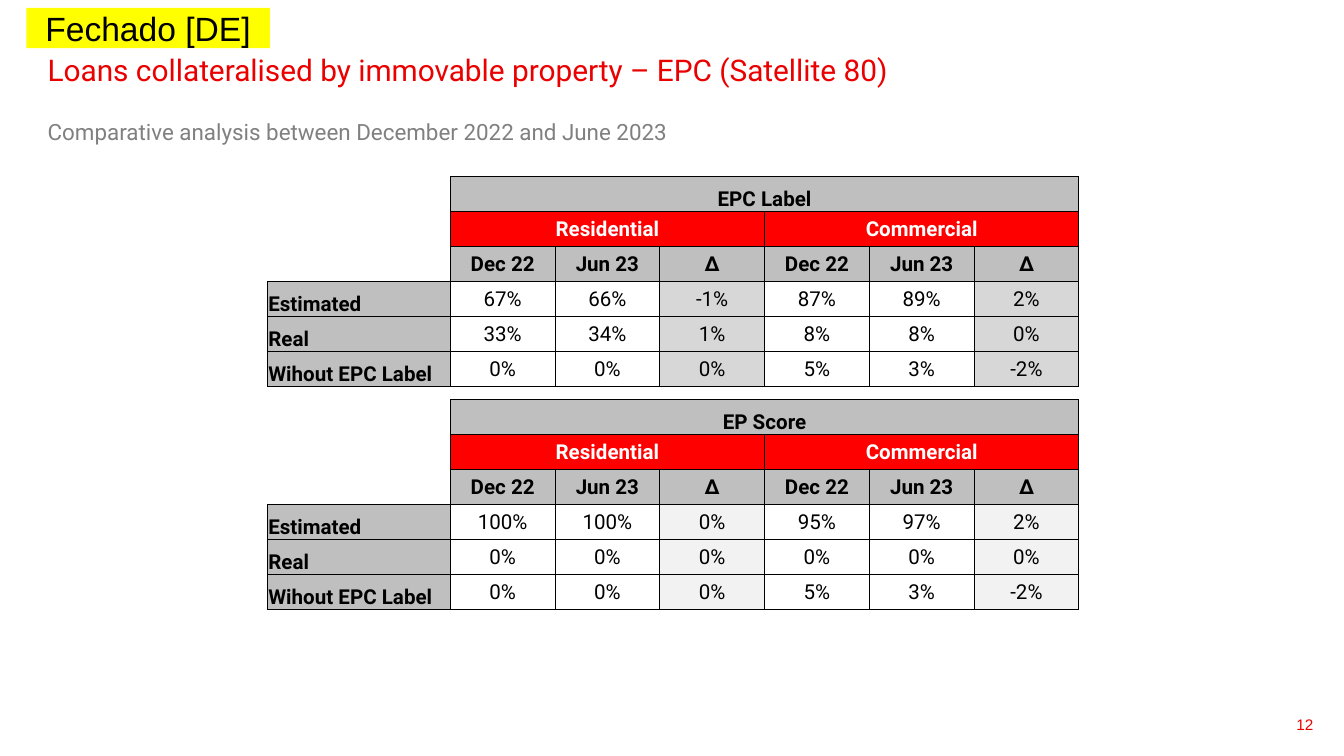
from lxml import etree
from pptx import Presentation
from pptx.dml.color import RGBColor
from pptx.enum.shapes import MSO_SHAPE
from pptx.enum.text import MSO_ANCHOR, MSO_AUTO_SIZE, PP_ALIGN
from pptx.oxml.ns import qn
from pptx.util import Cm, Pt

LEFT, CENTER, RIGHT = PP_ALIGN.LEFT, PP_ALIGN.CENTER, PP_ALIGN.RIGHT
TOP, MIDDLE, BOTTOM = MSO_ANCHOR.TOP, MSO_ANCHOR.MIDDLE, MSO_ANCHOR.BOTTOM
NO_AUTOFIT = MSO_AUTO_SIZE.NONE
RECTANGLE = MSO_SHAPE.RECTANGLE

BLACK = RGBColor(0x00, 0x00, 0x00)
WHITE = RGBColor(0xFF, 0xFF, 0xFF)
RED = RGBColor(0xFF, 0x00, 0x00)
TITLE_RED = RGBColor(0xEB, 0x00, 0x00)
YELLOW = RGBColor(0xFF, 0xFF, 0x00)
TEXT_GREY = RGBColor(0x80, 0x80, 0x80)
HEADER_GREY = RGBColor(0xBF, 0xBF, 0xBF)
LABEL_DELTA = RGBColor(0xD7, 0xD7, 0xD7)
SCORE_DELTA = RGBColor(0xF2, 0xF2, 0xF2)


def add_text(p, text, size, color, font="Roboto", bold=False, align=LEFT):
    p.alignment = align
    r = p.add_run()
    r.text = text
    r.font.name = font
    r.font.size = Pt(size)
    r.font.bold = bold
    r.font.color.rgb = color


def set_borders(cell, sides):
    tcPr = cell._tc.get_or_add_tcPr()
    for side in "LRTB":
        ln = etree.SubElement(tcPr, qn(f"a:ln{side}"), w=str(Pt(0.5)))
        if side in sides:
            fill = etree.SubElement(ln, qn("a:solidFill"))
            etree.SubElement(fill, qn("a:srgbClr"), val=str(BLACK))
        else:
            etree.SubElement(ln, qn("a:noFill"))


prs = Presentation()
prs.slide_width, prs.slide_height = Cm(25.4), Cm(14.29)
s = prs.slides.add_slide(prs.slide_layouts[5])

# Title and subtitle
sp = s.shapes.title
sp.left, sp.top, sp.width, sp.height = Cm(0.9), Cm(0.97), Cm(23.6), Cm(1.8)
tf = sp.text_frame
tf.margin_left = tf.margin_right = tf.margin_top = tf.margin_bottom = 0
tf.vertical_anchor = TOP
tf.auto_size = NO_AUTOFIT
add_text(tf.paragraphs[0], "Loans collateralised by immovable property – EPC (Satellite 80)",
         16, TITLE_RED)
p = tf.add_paragraph()
p.space_before = Pt(16.4)
add_text(p, "Comparative analysis between December 2022 and June 2023", 12, TEXT_GREY)

# Comparison tables: heading, top, delta colour, values by row
row_labels = ["Estimated", "Real", "Wihout EPC Label"]
tables = [
    ("EPC Label", 3.34, LABEL_DELTA, [
        ["67%", "66%", "-1%", "87%", "89%", "2%"],
        ["33%", "34%", "1%", "8%", "8%", "0%"],
        ["0%", "0%", "0%", "5%", "3%", "-2%"]]),
    ("EP Score", 7.55, SCORE_DELTA, [
        ["100%", "100%", "0%", "95%", "97%", "2%"],
        ["0%", "0%", "0%", "0%", "0%", "0%"],
        ["0%", "0%", "0%", "5%", "3%", "-2%"]]),
]
for heading, top, delta_color, values in tables:
    rows = [
        ["", heading, "", "", "", "", ""],
        ["", "Residential", "", "", "Commercial", "", ""],
        [""] + ["Dec 22", "Jun 23", "∆"] * 2,
    ] + [[label] + vals for label, vals in zip(row_labels, values)]
    table = s.shapes.add_table(6, 7, Cm(5.05), Cm(top), Cm(15.34), Cm(3.96)).table
    table.first_row = table.horz_banding = False
    for i, col in enumerate(table.columns):
        col.width = Cm(1.98 if i else 3.46)
    for row in table.rows:
        row.height = Cm(0.66)
    table.cell(0, 1).merge(table.cell(0, 6))
    table.cell(1, 1).merge(table.cell(1, 3))
    table.cell(1, 4).merge(table.cell(1, 6))

    for i, row in enumerate(rows):
        for j, text in enumerate(row):
            cell = table.cell(i, j)
            corner = i < 3 and j == 0
            header = i < 3 or j == 0
            cell.margin_left = cell.margin_right = cell.margin_top = Cm(0.02)
            cell.margin_bottom = 0
            cell.vertical_anchor = BOTTOM if i == 0 or j == 0 else MIDDLE

            # Borders and fill
            if corner:
                set_borders(cell, "RB" if i == 2 else "R")
            else:
                set_borders(cell, "LRTB")
            if corner or not header and j % 3:
                cell.fill.background()
            else:
                cell.fill.solid()
                cell.fill.fore_color.rgb = (
                    delta_color if not header else RED if i == 1 else HEADER_GREY)

            # Text
            p = cell.text_frame.paragraphs[0]
            if text:
                add_text(p, text, 11, WHITE if i == 1 else BLACK, bold=header,
                         align=CENTER if j else LEFT)
            else:
                etree.SubElement(p._p, qn("a:endParaRPr"), sz="1100")

# Status tag
sp = s.shapes.add_shape(RECTANGLE, Cm(0.5), Cm(0.15), Cm(4.6), Cm(0.76))
sp.shadow.inherit = False
sp.fill.solid()
sp.fill.fore_color.rgb = YELLOW
sp.line.fill.background()
tf = sp.text_frame
tf.vertical_anchor = MIDDLE
add_text(tf.paragraphs[0], "Fechado [DE]", 18, BLACK, font="Arial", align=CENTER)

# Page number
sp = s.shapes.add_textbox(Cm(19.35), Cm(13.39), Cm(5.72), Cm(0.76))
tf = sp.text_frame
tf.word_wrap = True
add_text(tf.paragraphs[0], "12", 8.2, TITLE_RED, font="Arial", align=RIGHT)

prs.save("out.pptx")
